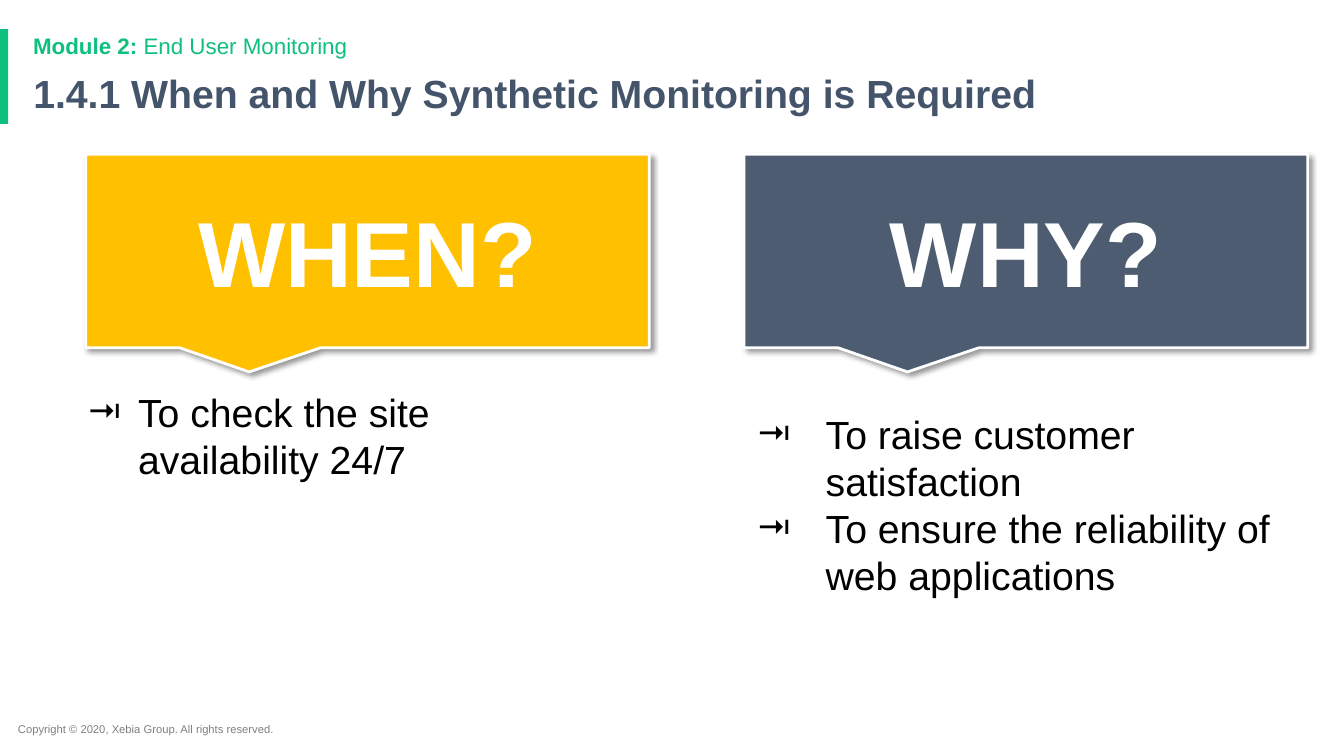
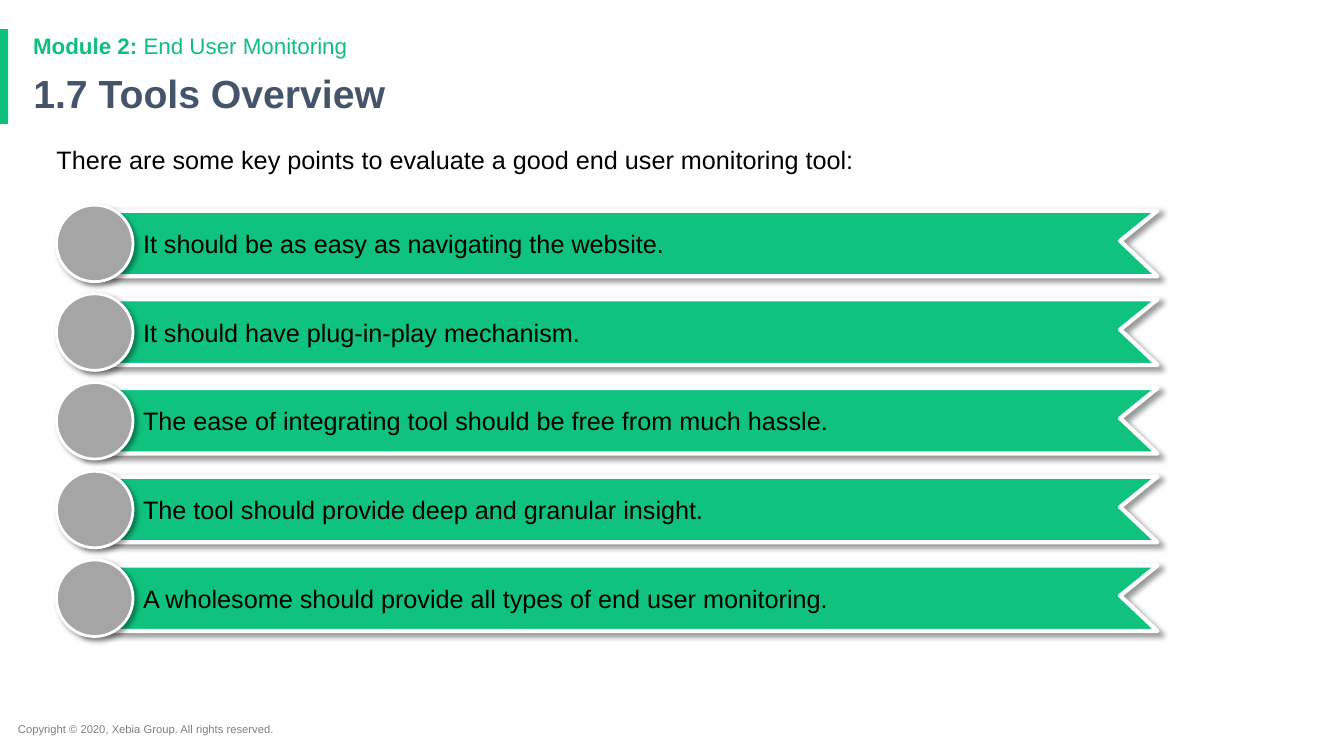
from lxml import etree
from pptx import Presentation
from pptx.dml.color import RGBColor
from pptx.enum import shapes as kinds, text as txt
from pptx.oxml import ns
from pptx.util import Inches, Pt

GREEN = RGBColor(0x0E, 0xC0, 0x7D)
RIBBON = RGBColor(0x0F, 0xC3, 0x7F)
SLATE = RGBColor(0x44, 0x54, 0x6A)
NAVY = RGBColor(0x4E, 0x5C, 0x71)
GOLD = RGBColor(0xFF, 0xC0, 0x00)
GREY = RGBColor(0xA5, 0xA5, 0xA5)
DIM = RGBColor(0x7F, 0x7F, 0x7F)
BLACK = RGBColor(0, 0, 0)
WHITE = RGBColor(0xFF, 0xFF, 0xFF)
FONT = "Arial"

MODULE = ("Module 2: ", "End User Monitoring")
COPYRIGHT = "Copyright © 2020, Xebia Group. All rights reserved."

# Callout word, fill, callout left, list box, indent, hanging, points
COLUMNS = [
    ("WHEN?", GOLD, 0.85, (0.67, 3.72, 5.25, 2.08), 0.57, 0.5,
     ["To check the site availability 24/7"]),
    ("WHY?", NAVY, 7.38, (7.38, 3.94, 5.5, 2.45), 0.68, 0.68,
     ["To raise customer satisfaction",
      "To ensure the reliability of web applications"]),
]
INTRO = "There are some key points to evaluate a good end user monitoring tool:"
POINTS = [
    "It should be as easy as navigating the website.",
    "It should have plug-in-play mechanism.",
    "The ease of integrating tool should be free from much hassle.",
    "The tool should provide deep and granular insight.",
    "A wholesome should provide all types of end user monitoring.",
]
CALL_TOP, CALL_W, CALL_H = 1.53, 5.59, 1.92
LEFT, RIGHT, NOTCH = 0.83, 11.48, 0.37
FIRST, STEP, BAND = 2.09, 0.88, 0.65
DOT, DOT_X = 0.76, 0.56


def style(par, size, color, bold=False):
    font = par.font
    font.name, font.size, font.bold = FONT, Pt(size), bold
    font.color.rgb = color


def inset(frame, *sides):
    (frame.margin_left, frame.margin_top,
     frame.margin_right, frame.margin_bottom) = map(Inches, sides)
    frame.word_wrap = True


def box(slide, area, pad=(0.1, 0.05, 0.1, 0.05)):
    frame = slide.shapes.add_textbox(*map(Inches, area)).text_frame
    inset(frame, *pad)
    return frame


def write(frame, words, size, color, bold=False):
    par = frame.paragraphs[0]
    par.text = words
    style(par, size, color, bold)
    return par


def paint(shape, fill, line=None):
    """Fill a shape; a line width also gives it a white edge and a shadow."""
    shape.fill.solid()
    shape.fill.fore_color.rgb = fill
    if line is None:
        shape.line.fill.background()
        shape.shadow.inherit = False
        return
    shape.line.color.rgb = WHITE
    shape.line.width = Pt(line)
    shape.shadow.inherit = False
    effects = shape._element.spPr.find(ns.qn("a:effectLst"))
    drop = etree.SubElement(
        effects, ns.qn("a:outerShdw"), blurRad=str(Pt(4)), dist=str(Pt(3)),
        dir=str(45 * 60000), algn="tl", rotWithShape="0")
    tint = etree.SubElement(drop, ns.qn("a:srgbClr"), val=str(BLACK))
    etree.SubElement(tint, ns.qn("a:alpha"), val="40000")


def bullet(par, left, hang):
    props = par._p.get_or_add_pPr()
    props.set("marL", str(Inches(left)))
    props.set("indent", str(-Inches(hang)))
    color = etree.SubElement(props, ns.qn("a:buClr"))
    etree.SubElement(color, ns.qn("a:srgbClr"), val=str(BLACK))
    etree.SubElement(props, ns.qn("a:buFont"), typeface=FONT)
    etree.SubElement(props, ns.qn("a:buChar"), char="⭲")


def start(deck, heading):
    """Add a slide with the side bar, footer, module line and title."""
    slide = deck.slides.add_slide(deck.slide_layouts[5])
    bar = slide.shapes.add_shape(
        kinds.MSO_SHAPE.RECTANGLE, 0, *map(Inches, (0.29, 0.08, 0.94)))
    paint(bar, GREEN)
    write(box(slide, (0.08, 7.12, 7.13, 0.24)), COPYRIGHT, 8, DIM)

    par = box(slide, (0.23, 0.3, 11.5, 0.33)).paragraphs[0]
    for words, bold in zip(MODULE, (True, False)):
        run = par.add_run()
        run.text, run.font.bold = words, bold
    style(par, 16, GREEN)
    par.line_spacing = 0.9

    title = slide.shapes.title
    title.left, title.top, title.width, title.height = map(
        Inches, (0.23, 0.69, 11.5, 0.54))
    frame = title.text_frame
    inset(frame, 0.1, 0.05, 0.1, 0.05)
    frame.auto_size = txt.MSO_AUTO_SIZE.NONE
    frame.vertical_anchor = txt.MSO_ANCHOR.TOP
    par = write(frame, heading, 28, SLATE, True)
    par.alignment, par.line_spacing = txt.PP_ALIGN.LEFT, 0.9
    return slide


def reasons(deck):
    slide = start(deck, "1.4.1 When and Why Synthetic Monitoring is Required")
    for word, fill, left, area, indent, hang, points in COLUMNS:
        frame = box(slide, area, (0.13,) * 4)
        for i, point in enumerate(points):
            par = frame.add_paragraph() if i else frame.paragraphs[0]
            par.text = point
            bullet(par, indent, hang)
            style(par, 28, BLACK)
        call = slide.shapes.add_shape(
            kinds.MSO_SHAPE.ROUNDED_RECTANGULAR_CALLOUT,
            *map(Inches, (left, CALL_TOP, CALL_W, CALL_H)))
        for i, value in enumerate((-0.21, 0.625, 0)):
            call.adjustments[i] = value
        paint(call, fill, 2)
        frame = call.text_frame
        inset(frame, 0.1, 0.05, 0.1, 0.05)
        frame.vertical_anchor = txt.MSO_ANCHOR.MIDDLE
        write(frame, word, 66, WHITE, True).alignment = txt.PP_ALIGN.CENTER


def ribbon(slide, top, words):
    low = top + BAND
    pen = slide.shapes.build_freeform(Inches(RIGHT), Inches(top))
    corners = [(LEFT, top), (LEFT, low), (RIGHT, low),
               (RIGHT - NOTCH, top + 0.3)]
    pen.add_line_segments([(Inches(x), Inches(y)) for x, y in corners])
    band = pen.convert_to_shape()
    paint(band, RIBBON, 3)
    frame = band.text_frame
    inset(frame, 0.1, 0.05, 0.1, 0.05)
    frame.vertical_anchor = txt.MSO_ANCHOR.MIDDLE
    par = write(frame, words, 18, BLACK)
    par.alignment = txt.PP_ALIGN.LEFT
    par._p.get_or_add_pPr().set("marL", str(Inches(0.49)))

    dot = slide.shapes.add_shape(
        kinds.MSO_SHAPE.OVAL,
        *map(Inches, (DOT_X, top - (DOT - BAND) / 2, DOT, DOT)))
    paint(dot, GREY, 2)


def tools(deck):
    slide = start(deck, "1.7 Tools Overview")
    write(box(slide, (0.56, 1.43, 11.24, 0.5), (0, 0, 0.1, 0.05)),
          INTRO, 18, BLACK)
    for row, words in enumerate(POINTS):
        ribbon(slide, FIRST + row * STEP, words)


def main():
    deck = Presentation()
    deck.slide_width, deck.slide_height = Inches(13.33), Inches(7.5)
    reasons(deck)
    tools(deck)
    deck.save("out.pptx")


if __name__ == "__main__":
    main()
